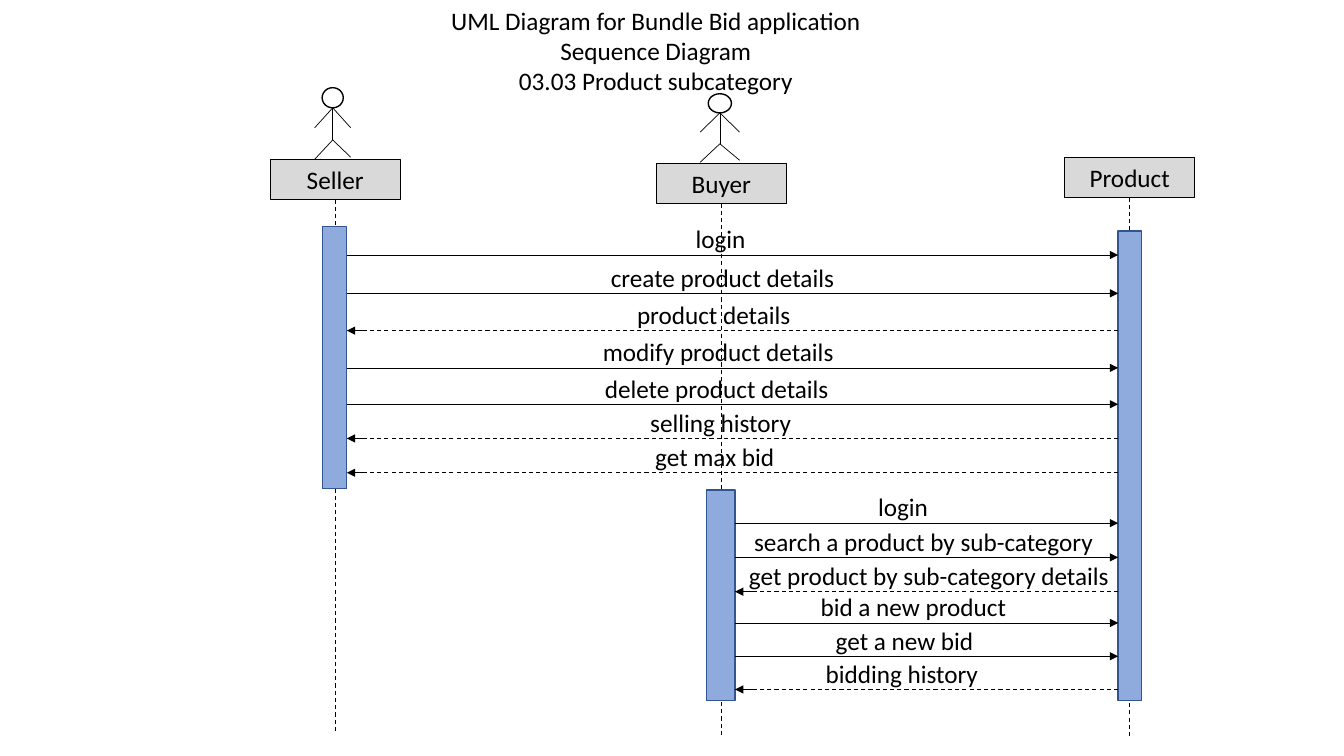
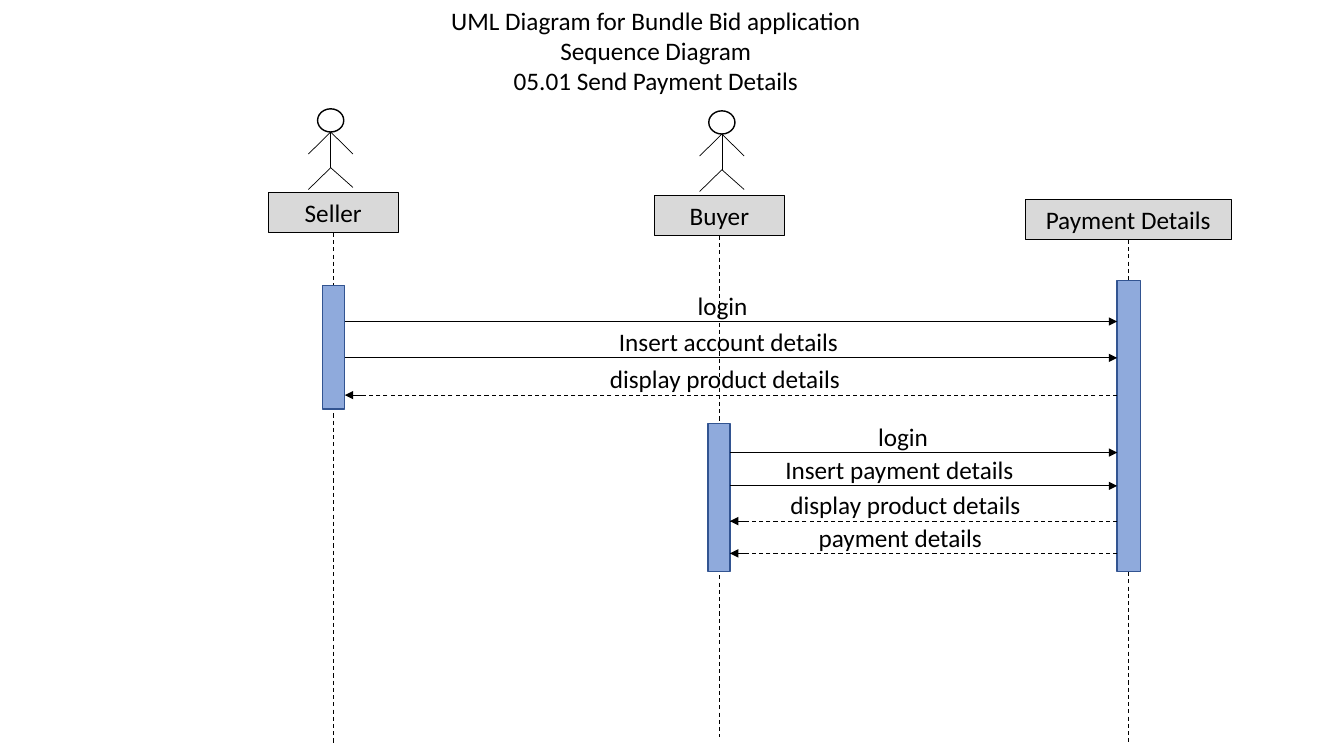
from pptx import Presentation
from pptx.dml.color import RGBColor
from pptx.enum.dml import MSO_LINE_DASH_STYLE as DASH
from pptx.enum.shapes import MSO_CONNECTOR as LINK, MSO_SHAPE as SHAPE
from pptx.enum.text import MSO_ANCHOR as ANCHOR, PP_ALIGN as ALIGN
from pptx.oxml.ns import qn
from pptx.util import Inches, Pt
from lxml.etree import SubElement

INK = {"black": "000000", "white": "FFFFFF", "grey": "D9D9D9",
       "blue": "8FAADC", "navy": "325491"}
HEAD = ["UML Diagram for Bundle Bid application", "Sequence Diagram"]
BOX_H = 0.4
RISE = 0.36  # label top above its message line

# actors: name, box (left, top, width), lifeline end, bar (left, top, width,
# height), figure (centre, top, head width, head height, height)
# messages: sender, label, line height, label left, label width, is a reply
PAGES = [
    {"title": "03.03 Product subcategory",
     "actors": [
         ("Seller", (2.68, 1.58, 1.29), 7.25, (3.2, 2.25, 0.24, 2.6),
          (3.3, 0.87, 0.21, 0.2, 0.71)),
         ("Buyer", (6.51, 1.62, 1.29), 7.32, (7.01, 4.86, 0.28, 2.09),
          (7.14, 0.93, 0.23, 0.19, 0.68)),
         ("Product", (10.56, 1.56, 1.29), 7.32, (11.09, 2.29, 0.23, 4.66),
          None)],
     "messages": [
         ("Seller", "login", 2.53, 6.8, 1.71, False),
         ("Seller", "create product details", 2.91, 5.96, 2.51, False),
         ("Seller", "product details", 3.28, 6.22, 2.23, True),
         ("Seller", "modify product details", 3.65, 5.88, 2.51, False),
         ("Seller", "delete product details", 4.01, 5.9, 2.51, False),
         ("Seller", "selling history", 4.35, 6.35, 2.51, True),
         ("Seller", "get max bid", 4.69, 6.4, 2.51, True),
         ("Buyer", "login", 5.19, 8.61, 1.71, False),
         ("Buyer", "search a product by sub-category", 5.53, 7.38, 3.65,
          False),
         ("Buyer", "get product by sub-category details", 5.87, 7.33, 3.81,
          True),
         ("Buyer", "bid a new product", 6.18, 8.04, 2.51, False),
         ("Buyer", "get a new bid", 6.51, 8.19, 2.51, False),
         ("Buyer", "bidding history", 6.84, 8.09, 2.51, True)]},
    {"title": "05.01 Send Payment Details",
     "actors": [
         ("Seller", (2.66, 1.91, 1.29), 7.37, (3.2, 2.83, 0.22, 1.23),
          (3.28, 1.08, 0.26, 0.23, 0.8)),
         ("Buyer", (6.49, 1.94, 1.29), 7.31, (7.02, 4.2, 0.22, 1.47),
          (7.16, 1.1, 0.26, 0.23, 0.8)),
         ("Payment Details", (10.17, 1.98, 2.04), 7.38,
          (11.08, 2.78, 0.23, 2.89), None)],
     "messages": [
         ("Seller", "login", 3.19, 6.82, 1.71, False),
         ("Seller", "Insert account details", 3.55, 6.04, 3.23, False),
         ("Seller", "display product details", 3.92, 5.95, 2.51, True),
         ("Buyer", "login", 4.49, 8.61, 1.71, False),
         ("Buyer", "Insert payment details", 4.82, 7.69, 3.43, False),
         ("Buyer", "display product details", 5.17, 7.74, 3.41, True),
         ("Buyer", "payment details", 5.49, 8.02, 2.51, True)]},
]


def put(slide, area, lines=(), kind=None, fill="white", edge="black",
        wide=1, align=ALIGN.LEFT):
    """Add a text box, or a filled shape when a kind is given."""
    spot = [Inches(v) for v in area]
    if kind is None:
        item = slide.shapes.add_textbox(*spot)
    else:
        item = slide.shapes.add_shape(kind, *spot)
        item.shadow.inherit = False
        item.fill.solid()
        item.fill.fore_color.rgb = RGBColor.from_string(INK[fill])
        item.line.color.rgb = RGBColor.from_string(INK[edge])
        item.line.width = Pt(wide)
    frame = item.text_frame
    frame.word_wrap = True
    frame.vertical_anchor = ANCHOR.MIDDLE if kind else ANCHOR.TOP
    for i, text in enumerate(lines):
        para = frame.add_paragraph() if i else frame.paragraphs[0]
        para.text = text
        para.alignment = align
        para.font.name = "Calibri"
        para.font.size = Pt(18)
        para.font.color.rgb = RGBColor.from_string(INK["black"])


def join(slide, x1, y1, x2, y2, dash=False, tip=False):
    """Draw a thin black line, dashed or with an arrowhead at its end."""
    link = slide.shapes.add_connector(
        LINK.STRAIGHT, Inches(x1), Inches(y1), Inches(x2), Inches(y2))
    link.line.color.rgb = RGBColor.from_string(INK["black"])
    link.line.width = Pt(0.75 if dash else 0.5)
    if dash:
        link.line.dash_style = DASH.DASH
    props = link._element.spPr
    if tip:
        SubElement(props.find(qn("a:ln")), qn("a:tailEnd"), type="triangle")
    SubElement(props, qn("a:effectLst"))


deck = Presentation()
deck.slide_width, deck.slide_height = Inches(13.33), Inches(7.5)

for page in PAGES:
    slide = deck.slides.add_slide(deck.slide_layouts[6])
    put(slide, (3.17, 0, 6.67, 1.01), HEAD + [page["title"]],
        align=ALIGN.CENTER)

    bars = {}
    for name, (left, top, width), end, bar, man in page["actors"]:
        mid = left + width / 2
        join(slide, mid, top + BOX_H, mid, end, dash=True)
        put(slide, (left, top, width, BOX_H), [name], SHAPE.RECTANGLE,
            "grey", wide=0.75, align=ALIGN.CENTER)
        put(slide, bar, kind=SHAPE.RECTANGLE, fill="blue", edge="navy")
        bars[name] = bar
        if man:
            x, y, head, skull, tall = man
            neck, hip = y + skull, y + 0.73 * tall
            hand, foot = y + 0.56 * tall, y + tall
            reach = 0.85 * head
            join(slide, x, neck, x, hip)
            put(slide, (x - head / 2, y, head, skull), kind=SHAPE.OVAL)
            for side in (-reach, reach):
                join(slide, x + side, hand, x, neck)
            join(slide, x, hip, x - reach, foot)
            join(slide, x, hip, x + reach, foot - 0.02)

    goal = bar[0]  # the last actor receives every message
    for name, label, y, left, width, reply in page["messages"]:
        start = bars[name][0] + bars[name][2]
        if reply:
            join(slide, goal, y, start, y, dash=True)
            join(slide, start + 0.18, y, start, y, tip=True)
        else:
            join(slide, start, y, goal, y, tip=True)
        put(slide, (left, y - RISE, width, BOX_H), [label])

deck.save("out.pptx")
